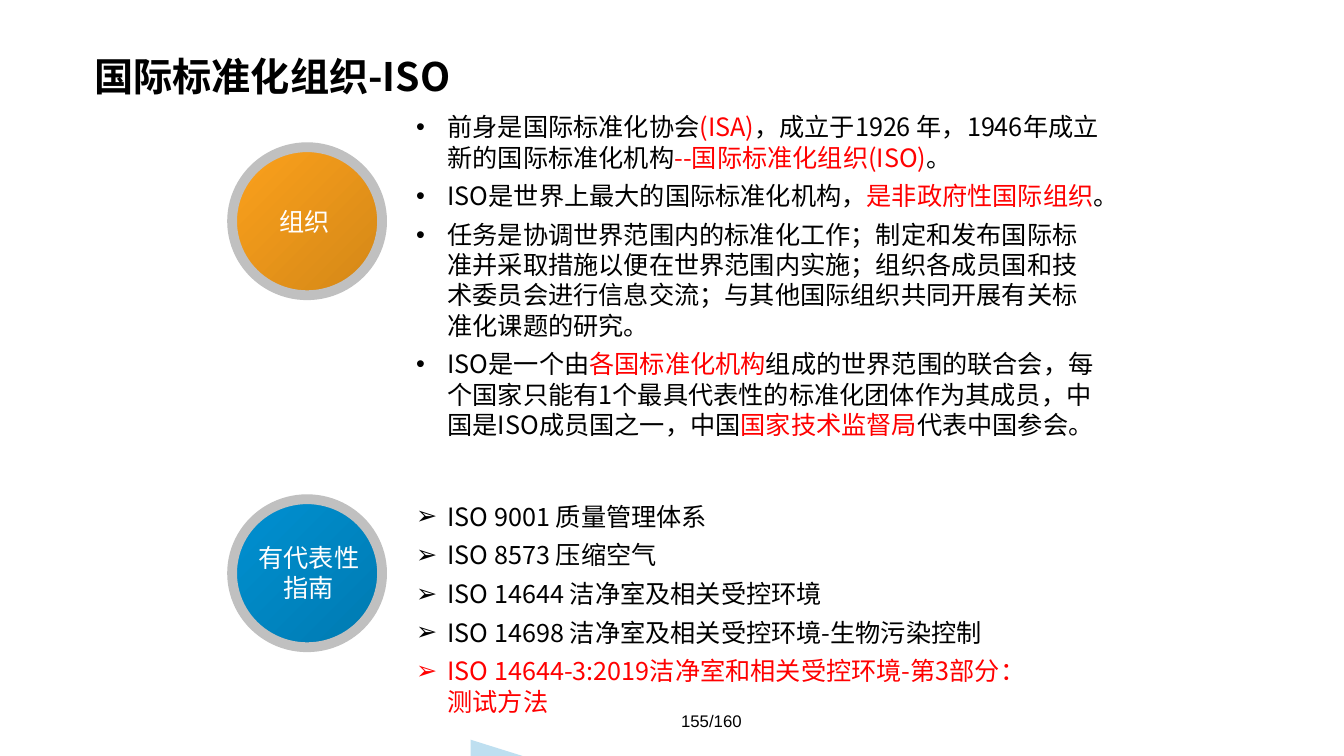
from dataclasses import dataclass

from lxml.etree import SubElement
from pptx import Presentation
from pptx.dml.color import RGBColor
from pptx.enum.shapes import MSO_SHAPE
from pptx.enum.text import MSO_ANCHOR, PP_ALIGN
from pptx.oxml.ns import qn
from pptx.util import Cm, Pt


@dataclass(frozen=True)
class Theme:
    """Colours, fonts and type sizes of the slide."""
    black: str = "000000"
    white: str = "FFFFFF"
    red: str = "FF0000"
    ring: str = "C0C0C0"
    sky: str = "BEDFF0"
    gold: tuple = ("FCA11C", "D38717")
    blue: tuple = ("0091D2", "0079B0")
    sans: str = "Noto Sans CJK SC"
    plain: str = "Arial"
    head: int = 28
    body: int = 18
    foot: int = 12


class Page:
    """Draws each kind of element on one slide in one style."""

    def __init__(self, slide, theme):
        self.slide, self.theme = slide, theme

    def shape(self, kind, *box):
        item = self.slide.shapes.add_shape(kind, *map(Cm, box))
        item.shadow.inherit = False
        return item

    def wedge(self, *box):
        item = self.shape(MSO_SHAPE.RIGHT_TRIANGLE, *box)
        item.fill.solid()
        item.fill.fore_color.rgb = RGBColor.from_string(self.theme.sky)
        item.line.fill.background()

    def disc(self, tones, *box):
        item = self.shape(MSO_SHAPE.FLOWCHART_CONNECTOR, *box)
        item.fill.gradient()
        item.fill.gradient_angle = 315
        for stop, tone, place in zip(item.fill.gradient_stops, tones, (0, 1)):
            stop.color.rgb = RGBColor.from_string(tone)
            stop.position = place
        item.line.color.rgb = RGBColor.from_string(self.theme.ring)
        item.line.width = Pt(7)

    def frame(self, box, anchor=MSO_ANCHOR.TOP, wrap=True):
        frame = self.slide.shapes.add_textbox(*map(Cm, box)).text_frame
        frame.word_wrap = wrap
        frame.vertical_anchor = anchor
        return frame

    def style(self, para, size, color, name, bold=False):
        font = para.font
        font.size, font.bold, font.name = Pt(size), bold, name
        font.color.rgb = RGBColor.from_string(color)
        base = para._p.pPr.find(qn("a:defRPr"))
        SubElement(base, qn("a:ea")).set("typeface", name)

    def label(self, text, box, size=None, color=None, name=None, bold=False,
              align=PP_ALIGN.CENTER, anchor=MSO_ANCHOR.TOP, wrap=True, space=None):
        theme = self.theme
        para = self.frame(box, anchor, wrap).paragraphs[0]
        para.text, para.alignment, para.line_spacing = text, align, space
        self.style(para, size or theme.body, color or theme.black,
                   name or theme.sans, bold)

    def bullets(self, rows, mark, box, before=0, after=0):
        frame = self.frame(box)
        for rank, row in enumerate(rows):
            para = frame.add_paragraph() if rank else frame.paragraphs[0]
            para.space_before = Pt(before if rank else 0)
            para.space_after = Pt(after)
            props = para._p.get_or_add_pPr()
            props.set("marL", str(Cm(0.79)))
            props.set("indent", str(-Cm(0.79)))
            SubElement(props, qn("a:buFont")).set("typeface", self.theme.plain)
            SubElement(props, qn("a:buChar")).set("char", mark)
            hot = len(row) == 1 and row[0][1]
            self.style(para, self.theme.body,
                       self.theme.red if hot else self.theme.black, self.theme.sans)
            for text, red in row:
                run = para.add_run()
                run.text = text
                if red and not hot:
                    run.font.color.rgb = RGBColor.from_string(self.theme.red)


FACTS = [
    [("前身是国际标准化协会", False), ("(ISA)", True),
     ("，成立于1926 年，1946年成立新的国际标准化机构", False),
     ("--国际标准化组织(ISO)", True), ("。", False)],
    [("ISO是世界上最大的国际标准化机构，", False),
     ("是非政府性国际组织", True), ("。", False)],
    [("任务是协调世界范围内的标准化工作；制定和发布国际标准并采取措施以便在世界范围内实施；"
      "组织各成员国和技术委员会进行信息交流；与其他国际组织共同开展有关标准化课题的研究。", False)],
    [("ISO是一个由", False), ("各国标准化机构", True),
     ("组成的世界范围的联合会，每个国家只能有1个最具代表性的标准化团体作为其成员，"
      "中国是ISO成员国之一，中国", False),
     ("国家技术监督局", True), ("代表中国参会。", False)],
]
GUIDES = [
    [("ISO 9001 质量管理体系", False)],
    [("ISO 8573 压缩空气", False)],
    [("ISO 14644 洁净室及相关受控环境", False)],
    [("ISO 14698 洁净室及相关受控环境-生物污染控制", False)],
    [("ISO 14644-3:2019洁净室和相关受控环境-第3部分：测试方法", True)],
]


def main():
    """Build the slide and save it."""
    deck = Presentation()
    deck.slide_width, deck.slide_height = Cm(33.87), Cm(19.05)
    theme = Theme()
    page = Page(deck.slides.add_slide(deck.slide_layouts[6]), theme)
    page.wedge(11.86, 18.64, 1.47, 0.46)
    page.label("国际标准化组织-ISO", (2.13, 1.09, 29.6, 1.8), size=theme.head, bold=True,
               align=PP_ALIGN.LEFT, anchor=MSO_ANCHOR.MIDDLE, space=0.9)
    page.label("155/160", (14.12, 17.65, 7.62, 1.02), size=theme.foot,
               name=theme.plain, anchor=MSO_ANCHOR.MIDDLE)
    for tones, top in ((theme.gold, 3.71), (theme.blue, 12.58)):
        page.disc(tones, 5.85, top, 3.78, 3.73)
    page.bullets(FACTS, "•", (10.24, 2.69, 17.78, 9.37), before=6)
    page.bullets(GUIDES, "➢", (10.24, 12.5, 15.32, 5.74), after=6)
    page.label("组织", (6.78, 5.08, 1.8, 1.02), color=theme.white, wrap=False)
    page.label("有代表性指南", (6.02, 13.54, 3.53, 1.8), color=theme.white)
    deck.save("out.pptx")


if __name__ == "__main__":
    main()
